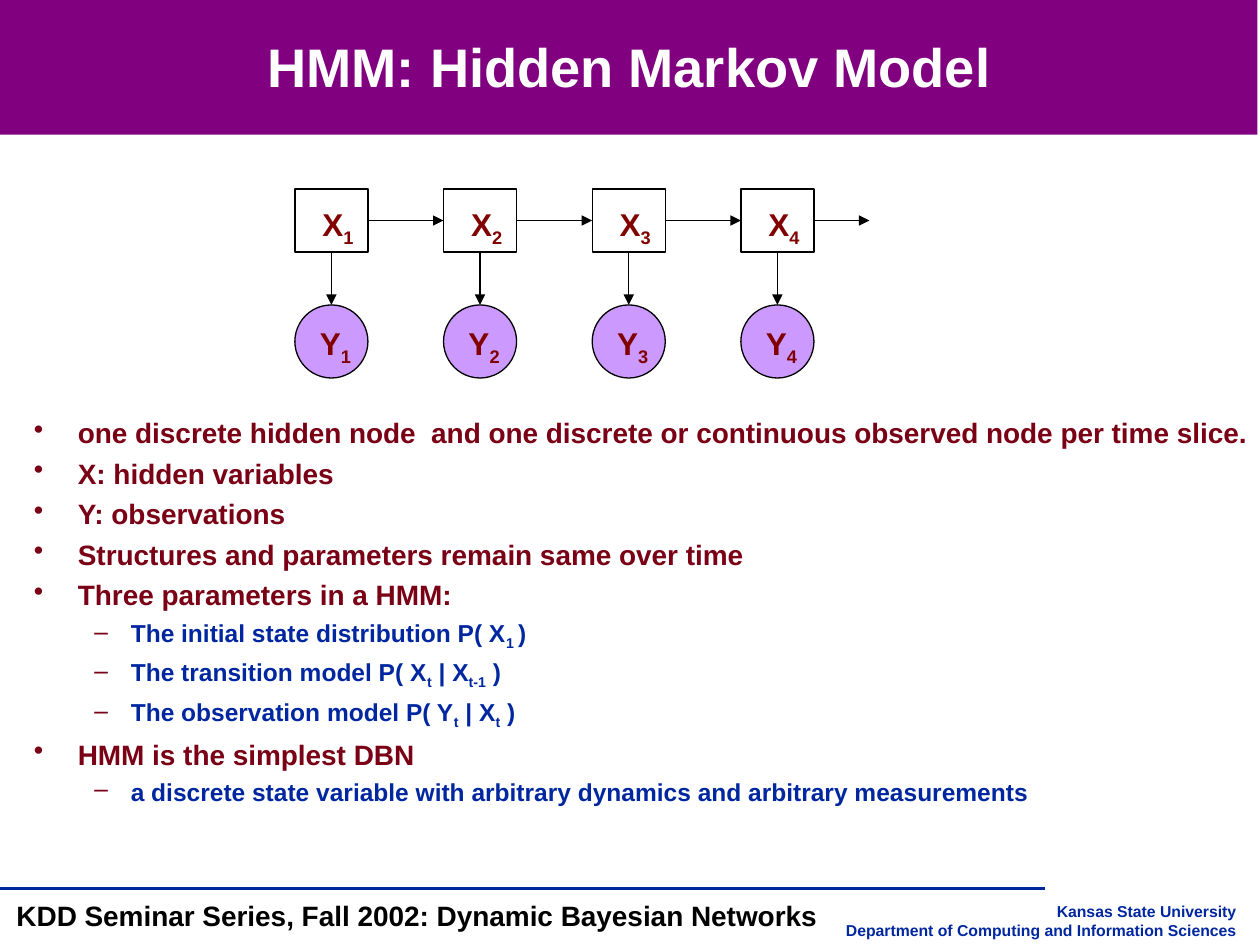
from lxml import etree
from pptx import Presentation
from pptx.dml.color import RGBColor
from pptx.enum.shapes import MSO_CONNECTOR, MSO_SHAPE
from pptx.enum.text import MSO_ANCHOR, PP_ALIGN
from pptx.oxml.ns import qn
from pptx.util import Inches, Pt

RECTANGLE, OVAL = MSO_SHAPE.RECTANGLE, MSO_SHAPE.OVAL
STRAIGHT = MSO_CONNECTOR.STRAIGHT
LEFT, CENTER, RIGHT = PP_ALIGN.LEFT, PP_ALIGN.CENTER, PP_ALIGN.RIGHT
TOP, MIDDLE = MSO_ANCHOR.TOP, MSO_ANCHOR.MIDDLE
TOP_SIDE, LEFT_SIDE, BOTTOM_SIDE, RIGHT_SIDE = range(4)

PURPLE, LILAC, BLACK, WHITE = "800080", "CC99FF", "000000", "FFFFFF"
NAVY, WINE, MAROON = "00279F", "790015", "800000"

POINTS = [
    (0, "one discrete hidden node  and one discrete or continuous observed node per time slice."),
    (0, "X: hidden variables"),
    (0, "Y: observations"),
    (0, "Structures and parameters remain same over time"),
    (0, "Three parameters in a HMM:"),
    (1, "The initial state distribution P( X~1 ~)"),
    (1, "The transition model P( X~t~ | X~t-1~ )"),
    (1, "The observation model P( Y~t~ | X~t~ )"),
    (0, "HMM is the simplest DBN"),
    (1, "a discrete state variable with arbitrary dynamics and arbitrary measurements"),
]
LEVELS = [
    {"mark": "•", "indent": 0.35, "hang": 0.35, "before": 4, "size": 16, "color": WINE},
    {"mark": "–", "indent": 0.77, "hang": 0.29, "before": 3.5, "size": 14, "color": NAVY},
]


def rgb(color):
    """Turn a hex string into a colour."""
    return RGBColor.from_string(color)


def write(para, text, size=16, color=BLACK, align=LEFT):
    """Write bold text in a paragraph, lowering the parts between tildes."""
    para.alignment = align
    for index, part in enumerate(text.split("~")):
        if not part:
            continue
        span = para.add_run()
        span.text = part
        span.font.name = "Arial"
        span.font.size = Pt(size)
        span.font.bold = True
        span.font.color.rgb = rgb(color)
        if index % 2:
            span.font._element.set("baseline", "-25000")


def add_text(page, place, lines, anchor=TOP, wrap=True, **style):
    """Add a text box with one paragraph for each line."""
    box = page.shapes.add_textbox(*map(Inches, place))
    frame = box.text_frame
    frame.word_wrap = wrap
    frame.vertical_anchor = anchor
    for index, line in enumerate(lines):
        para = frame.add_paragraph() if index else frame.paragraphs[0]
        write(para, line, **style)


def add_box(page, kind, place, fill=None, outline=None):
    """Add a flat shape with an optional fill and outline."""
    box = page.shapes.add_shape(kind, *map(Inches, place))
    box.shadow.inherit = False
    if fill:
        box.fill.solid()
        box.fill.fore_color.rgb = rgb(fill)
    else:
        box.fill.background()
    if outline:
        box.line.color.rgb = rgb(outline)
        box.line.width = Pt(0.75)
    else:
        box.line.fill.background()
    return box


def add_line(page, ends, color=BLACK, width=0.75, arrow=True):
    """Add a straight line, with an arrowhead at its end if wanted."""
    line = page.shapes.add_connector(STRAIGHT, *map(Inches, ends))
    line.line.color.rgb = rgb(color)
    line.line.width = Pt(width)
    if arrow:
        etree.SubElement(line.line._get_or_add_ln(), qn("a:tailEnd"), type="triangle")
    etree.SubElement(line._element.spPr, qn("a:effectLst"))
    return line


def add_bullet(para, mark, indent, hang):
    """Give a paragraph a bullet and a hanging indent."""
    props = para._p.get_or_add_pPr()
    props.set("marL", str(Inches(indent)))
    props.set("indent", str(-Inches(hang)))
    bullet_color = etree.SubElement(props, qn("a:buClr"))
    etree.SubElement(bullet_color, qn("a:srgbClr"), val=WINE)
    etree.SubElement(props, qn("a:buChar"), char=mark)


def draw_header(page, left, top, width, height):
    """Draw the title band."""
    add_box(page, RECTANGLE, (left, top, width, height), fill=PURPLE)
    add_text(page, (left, top, width, height - 0.03), ["HMM: Hidden Markov Model"],
             anchor=MIDDLE, size=31, color=WHITE, align=CENTER)


def draw_model(page, left, top, pitch=1.18, side=0.58):
    """Draw the chain of hidden states with their observations."""
    middle, circle_top = top + 0.25, top + 0.92
    previous = None
    for index in range(4):
        x = left + index * pitch
        center = x + side / 2
        state = add_box(page, RECTANGLE, (x, top, side, 0.5), outline=BLACK)
        observation = add_box(page, OVAL, (x, circle_top, side, side), LILAC, BLACK)
        arrow = add_line(page, (center, top + 0.5, center, circle_top))
        arrow.begin_connect(state, BOTTOM_SIDE)
        arrow.end_connect(observation, TOP_SIDE)
        if previous:
            step = add_line(page, (x - pitch + side, middle, x, middle))
            step.begin_connect(previous, RIGHT_SIDE)
            step.end_connect(state, LEFT_SIDE)
        for letter, shift, y in (("X", 0.12, top + 0.08), ("Y", 0.1, circle_top + 0.1)):
            add_text(page, (x + shift, y, 1, 0.44), [f"{letter}~{index + 1}"],
                     size=18, color=MAROON)
        previous = state
    onward = add_line(page, (x + side, middle, x + side + 0.44, middle))
    onward.begin_connect(previous, RIGHT_SIDE)


def draw_points(page, left, top, width, height):
    """Write the bulleted list of two levels."""
    box = page.shapes.add_textbox(*map(Inches, (left, top, width, height)))
    frame = box.text_frame
    frame.word_wrap = True
    for index, (level, text) in enumerate(POINTS):
        look = LEVELS[level]
        para = frame.add_paragraph() if index else frame.paragraphs[0]
        para.level = level
        add_bullet(para, look["mark"], look["indent"], look["hang"])
        if index:
            para.space_before = Pt(look["before"])
        write(para, text, size=look["size"], color=look["color"])


def draw_footer(page, left, top):
    """Draw the rule, the series name and the department."""
    add_line(page, (left, top, left + 8.29, top), color=NAVY, width=2, arrow=False)
    add_text(page, (left + 5.08, top + 0.06, 4.83, 0.39),
             ["Kansas State University", "Department of Computing and Information Sciences"],
             size=9, color=NAVY, align=RIGHT)
    add_text(page, (left + 0.03, top + 0.03, 6.56, 0.37),
             ["KDD Seminar Series, Fall 2002: Dynamic Bayesian Networks"],
             wrap=False, size=16, align=CENTER)


def main():
    """Build the deck and save it."""
    deck = Presentation()
    deck.slide_width, deck.slide_height = Inches(10), Inches(7.5)
    page = deck.slides.add_slide(deck.slide_layouts[6])
    draw_header(page, 0, 0, 9.98, 1.07)
    draw_footer(page, 0, 7.05)
    draw_points(page, 0.17, 3.25, 9.96, 5.68)
    draw_model(page, 2.34, 1.5)
    deck.save("out.pptx")


if __name__ == "__main__":
    main()
